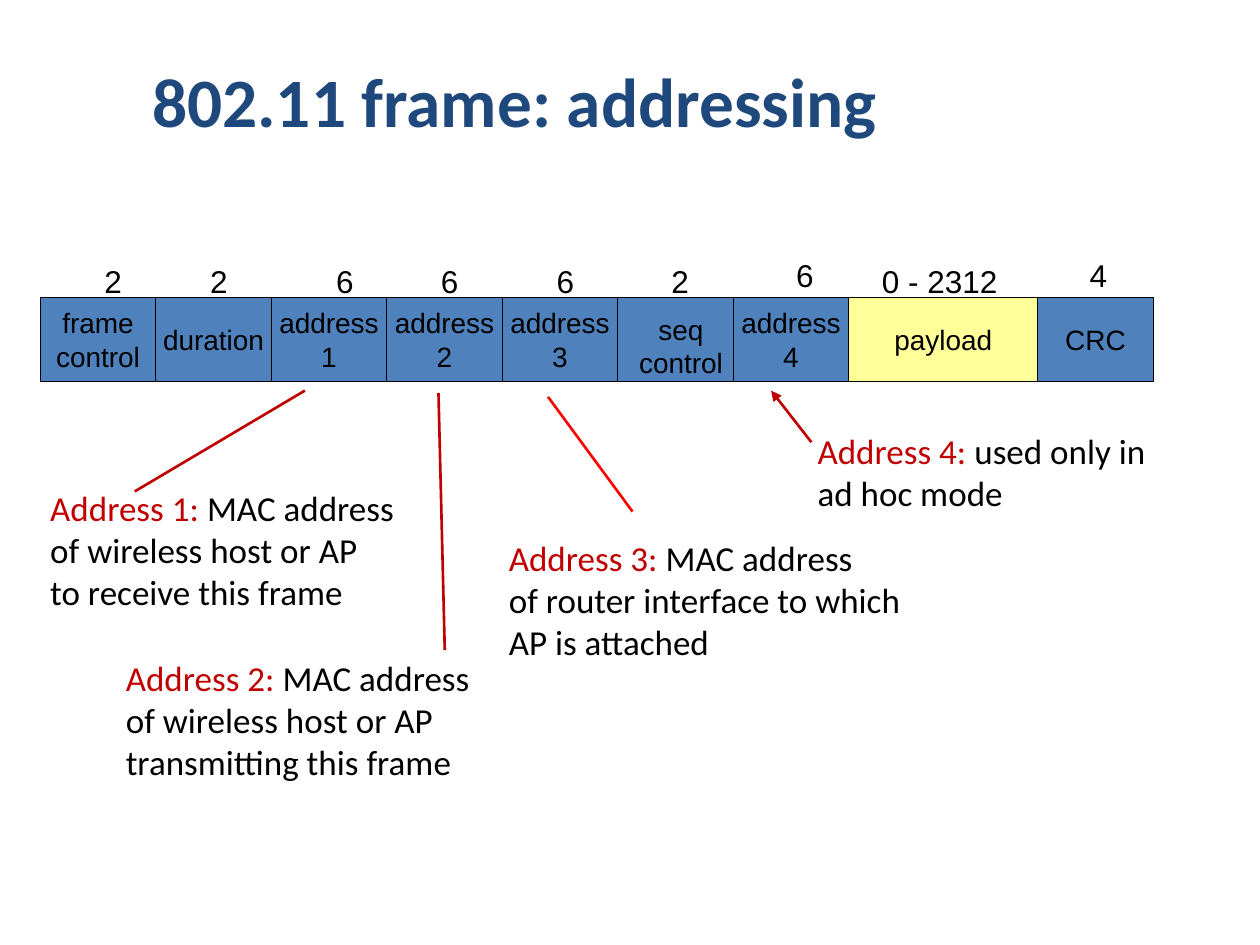
from lxml.etree import SubElement
from pptx import Presentation
from pptx.dml.color import RGBColor
from pptx.enum.shapes import MSO_CONNECTOR, MSO_SHAPE
from pptx.enum.text import MSO_ANCHOR, PP_ALIGN
from pptx.oxml.ns import qn
from pptx.util import Inches, Pt

BLACK, BLUE, YELLOW = "000000", "4F81BD", "FFFF99"
NAVY, DARK_RED, RED = "1F497D", "C00000", "FF0000"
FIELD_WIDTH = 11 / 12


def color(value):
    return RGBColor.from_string(value)


class SlideBuilder:
    heading_font = "Calibri"
    field_font = "Arial"

    def __init__(self, slide):
        self.slide = slide

    def format_run(self, run, size, font, ink, bold=False):
        run.font.size = Pt(size)
        run.font.name = font
        run.font.bold = bold
        run.font.color.rgb = color(ink)

    def set_text(self, shape, text, size, font, ink=BLACK, bold=False,
                 align=PP_ALIGN.LEFT, anchor=MSO_ANCHOR.TOP, wrap=False):
        frame = shape.text_frame
        frame.text = text
        frame.word_wrap = wrap
        frame.vertical_anchor = anchor
        for paragraph in frame.paragraphs:
            paragraph.alignment = align
            for run in paragraph.runs:
                self.format_run(run, size, font, ink, bold)

    def text_box(self, left, top, width, height, text, size, font, **style):
        box = self.slide.shapes.add_textbox(
            Inches(left), Inches(top), Inches(width), Inches(height))
        self.set_text(box, text, size, font, **style)
        return box

    def field(self, left, top, width, height, text, fill):
        shape = self.slide.shapes.add_shape(
            MSO_SHAPE.RECTANGLE, Inches(left), Inches(top), Inches(width), Inches(height))
        shape.shadow.inherit = False
        shape.fill.solid()
        shape.fill.fore_color.rgb = color(fill)
        shape.line.color.rgb = color(BLACK)
        shape.line.width = Pt(0.75)
        if text:
            self.set_text(shape, text, 16, self.field_font,
                          align=PP_ALIGN.CENTER, anchor=MSO_ANCHOR.MIDDLE)

    def note(self, left, top, width, height, label, text, wrap):
        box = self.text_box(left, top, width, height, text, 20, self.heading_font, wrap=wrap)
        # The label goes in front of the first line in its own colour
        first = box.text_frame.paragraphs[0]
        first_line = first.text
        first.text = label
        first.add_run().text = first_line
        for run, ink in zip(first.runs, (DARK_RED, BLACK)):
            self.format_run(run, 20, self.heading_font, ink)

    def pointer(self, start, end, ink, arrow=False):
        connector = self.slide.shapes.add_connector(
            MSO_CONNECTOR.STRAIGHT, *(Inches(value) for value in start + end))
        connector.line.color.rgb = color(ink)
        connector.line.width = Pt(1.5)
        properties = connector._element.spPr
        if arrow:
            SubElement(properties.find(qn("a:ln")), qn("a:tailEnd"), type="triangle")
        SubElement(properties, qn("a:effectLst"))


def main():
    presentation = Presentation()
    presentation.slide_width = Inches(10)
    presentation.slide_height = Inches(7.5)
    builder = SlideBuilder(presentation.slides.add_slide(presentation.slide_layouts[6]))

    # Title
    builder.text_box(0.58, 0.17, 7.01, 1.25, "802.11 frame: addressing", 39.6,
                     builder.heading_font, ink=NAVY, bold=True, wrap=True,
                     align=PP_ALIGN.CENTER, anchor=MSO_ANCHOR.MIDDLE)

    # Frame fields: text, byte count, left and top of the byte count
    fields = [
        ("frame\ncontrol", "2", 0.73, 2.03),
        ("duration", "2", 1.57, 2.03),
        ("address\n1", "6", 2.57, 2.03),
        ("address\n2", "6", 3.4, 2.03),
        ("address\n3", "6", 4.32, 2.03),
        ("", "2", 5.23, 2.03),
        ("address\n4", "6", 6.22, 1.98),
        ("payload", "0 - 2312", 6.9, 2.03),
        ("CRC", "4", 8.55, 1.98),
    ]
    left = 0.32
    for text, count, count_left, count_top in fields:
        is_payload = text == "payload"
        width = 1.5 if is_payload else FIELD_WIDTH
        builder.field(left, 2.36, width, 0.67, text, YELLOW if is_payload else BLUE)
        builder.text_box(count_left, count_top, 1.12 if is_payload else 0.34, 0.4,
                         count, 18, builder.field_font)
        left += width
    # The sequence label sits a little off its field
    builder.text_box(4.97, 2.43, 0.87, 0.64, "seq\ncontrol", 16, builder.field_font,
                     align=PP_ALIGN.CENTER)

    # Explanations of the addresses
    notes = [
        (0.3, 3.81, 2.99, 1.11, "Address 1: ",
         "MAC address\nof wireless host or AP\nto receive this frame", False),
        (0.9, 5.16, 2.99, 1.11, "Address 2: ",
         "MAC address\nof wireless host or AP\ntransmitting this frame", False),
        (3.94, 4.21, 3.34, 1.11, "Address 3: ",
         "MAC address\nof router interface to which AP is attached", True),
        (6.39, 3.36, 2.85, 0.77, "Address 4: ", "used only in ad hoc mode", True),
    ]
    for note in notes:
        builder.note(*note)

    # Lines from the explanations to the fields
    builder.pointer((1.07, 3.9), (2.42, 3.1), DARK_RED)
    builder.pointer((3.53, 5.16), (3.48, 3.12), DARK_RED)
    builder.pointer((5.02, 4.06), (4.35, 3.15), RED)
    builder.pointer((6.44, 3.51), (6.12, 3.1), DARK_RED, arrow=True)

    presentation.save("out.pptx")


if __name__ == "__main__":
    main()
